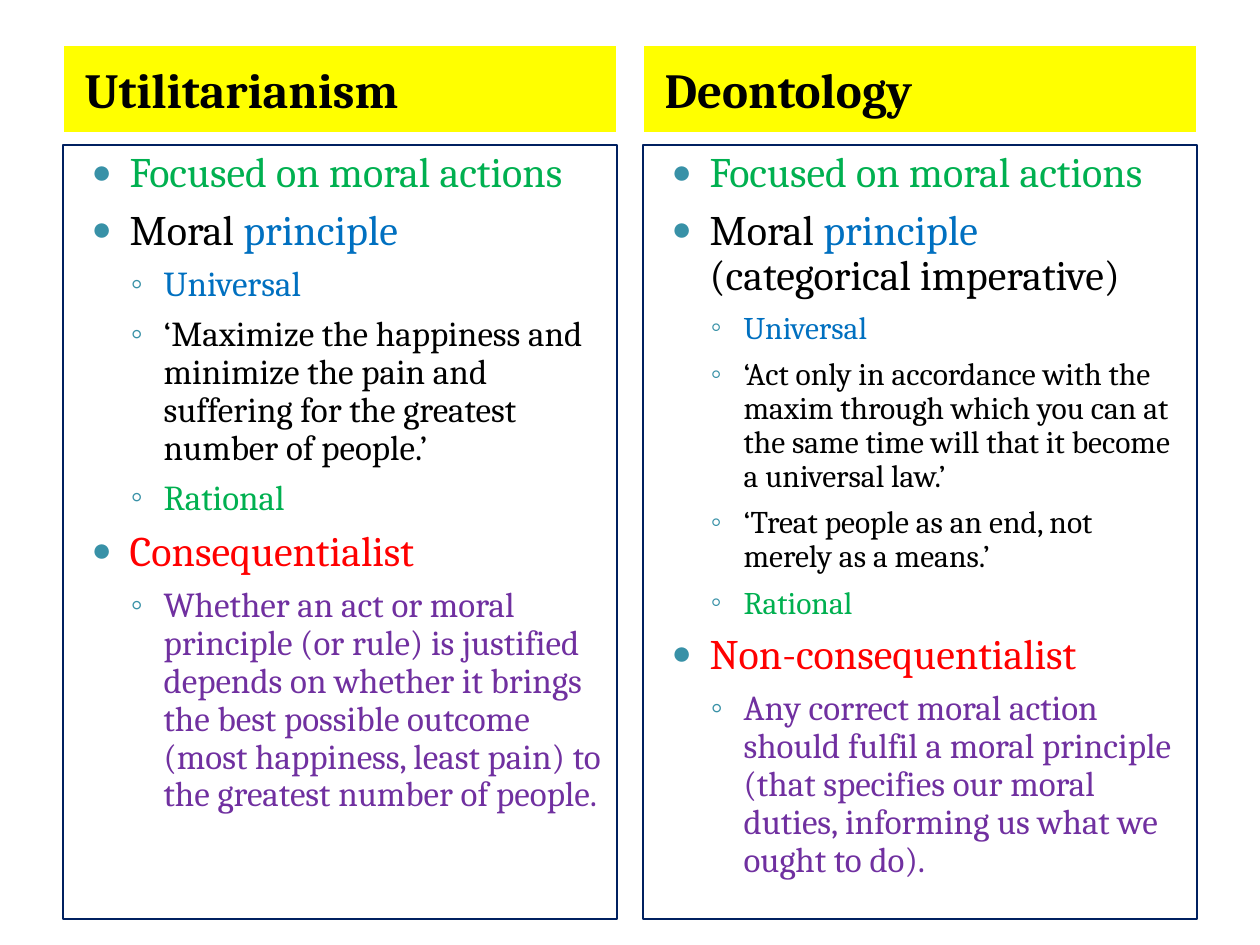
from lxml.etree import SubElement
from pptx import Presentation
from pptx.dml.color import RGBColor as RGB
from pptx.enum.text import MSO_ANCHOR as Anchor, MSO_AUTO_SIZE as AutoSize, PP_ALIGN as Align
from pptx.oxml.ns import qn
from pptx.util import Pt

SCALE = 914400 / 126
THEME = {
    "font": "Cambria", "heading": 28, "point": 24, "detail": 20, "small": 18,
    "black": "000000", "white": "FFFFFF", "yellow": "FFFF00", "navy": "002060", "teal": "3891A7",
    "green": "00B050", "blue": "0070C0", "red": "FF0000", "purple": "7030A0",
}
BULLETS = [("●", 80, 54, -38), ("◦", 100, 88, -33)]
LEFTS = [63, 643]
WIDTH = 554
HEADING_TOP, HEADING_HEIGHT = 45, 88
LIST_TOP, LIST_HEIGHT = 145, 774

COLUMNS = [
    ("Utilitarianism", [
        (0, "point", [("Focused on moral actions", "green")]),
        (0, "point", [("Moral ", "black"), ("principle", "blue")]),
        (1, "detail", [("Universal", "blue")]),
        (1, "detail", [("‘Maximize the happiness and minimize the pain and suffering "
                        "for the greatest number of people.’", "black")]),
        (1, "detail", [("Rational", "green")]),
        (0, "point", [("Consequentialist", "red")]),
        (1, "detail", [("Whether an act or moral principle (or rule) is justified depends on "
                        "whether it brings the best possible outcome (most happiness, least pain) "
                        "to the greatest number of people.", "purple")]),
    ]),
    ("Deontology", [
        (0, "point", [("Focused on moral actions", "green")]),
        (0, "point", [("Moral ", "black"), ("principle", "blue"),
                      (" (categorical imperative)", "black")]),
        (1, "small", [("Universal", "blue")]),
        (1, "small", [("‘Act only in accordance with the maxim through which you can at the "
                       "same time will that it become a universal law.’", "black")]),
        (1, "small", [("‘Treat people as an end, not merely as a means.’", "black")]),
        (1, "small", [("Rational", "green")]),
        (0, "point", [("Non-consequentialist", "red")]),
        (1, "detail", [("Any correct moral action should fulfil a moral principle (that specifies "
                        "our moral duties, informing us what we ought to do).", "purple")]),
    ]),
]


def px(length):
    return round(length * SCALE)


def style_panel(shape, box, fill, line, line_width, anchor):
    shape.left, shape.top, shape.width, shape.height = map(px, box)
    shape.fill.solid()
    shape.fill.fore_color.rgb = RGB.from_string(THEME[fill])
    shape.line.color.rgb = RGB.from_string(THEME[line])
    shape.line.width = Pt(line_width)
    shape.text_frame.word_wrap = True
    shape.text_frame.auto_size = AutoSize.NONE
    shape.text_frame.vertical_anchor = anchor


presentation = Presentation()
presentation.slide_width, presentation.slide_height = px(1260), px(945)
slide = presentation.slides.add_slide(presentation.slide_layouts.get_by_name("Comparison"))
title = slide.shapes.title.element
title.getparent().remove(title)

for index, (left, (heading_text, items)) in enumerate(zip(LEFTS, COLUMNS)):
    heading = slide.placeholders[1 + 2 * index]
    style_panel(heading, (left, HEADING_TOP, WIDTH, HEADING_HEIGHT),
                "yellow", "white", 0.85, Anchor.MIDDLE)
    paragraph = heading.text_frame.paragraphs[0]
    paragraph.text = heading_text
    paragraph.alignment = Align.LEFT
    paragraph.space_before = Pt(1)
    paragraph._p.get_or_add_pPr().set("marL", str(px(9)))
    paragraph.font.name = THEME["font"]
    paragraph.font.size = Pt(THEME["heading"])
    paragraph.font.bold = True
    paragraph.font.color.rgb = RGB.from_string(THEME["black"])

    points = slide.placeholders[2 + 2 * index]
    style_panel(points, (left, LIST_TOP, WIDTH, LIST_HEIGHT),
                "white", "navy", 1.5, Anchor.TOP)
    frame = points.text_frame
    for number, (level, size, runs) in enumerate(items):
        paragraph = frame.add_paragraph() if number else frame.paragraphs[0]
        paragraph.level = level
        paragraph.alignment = Align.LEFT
        paragraph.line_spacing = 0.9
        paragraph.space_before = Pt(7)
        symbol, percent, margin, indent = BULLETS[level]
        properties = paragraph._p.get_or_add_pPr()
        properties.set("marL", str(px(margin)))
        properties.set("indent", str(px(indent)))
        bullet_color = SubElement(properties, qn("a:buClr"))
        SubElement(bullet_color, qn("a:srgbClr"), val=THEME["teal"])
        SubElement(properties, qn("a:buSzPct"), val=str(percent * 1000))
        SubElement(properties, qn("a:buChar"), char=symbol)
        paragraph.font.name = THEME["font"]
        paragraph.font.size = Pt(THEME[size])
        for text, color in runs:
            run = paragraph.add_run()
            run.text = text
            run.font.color.rgb = RGB.from_string(THEME[color])

presentation.save("out.pptx")
